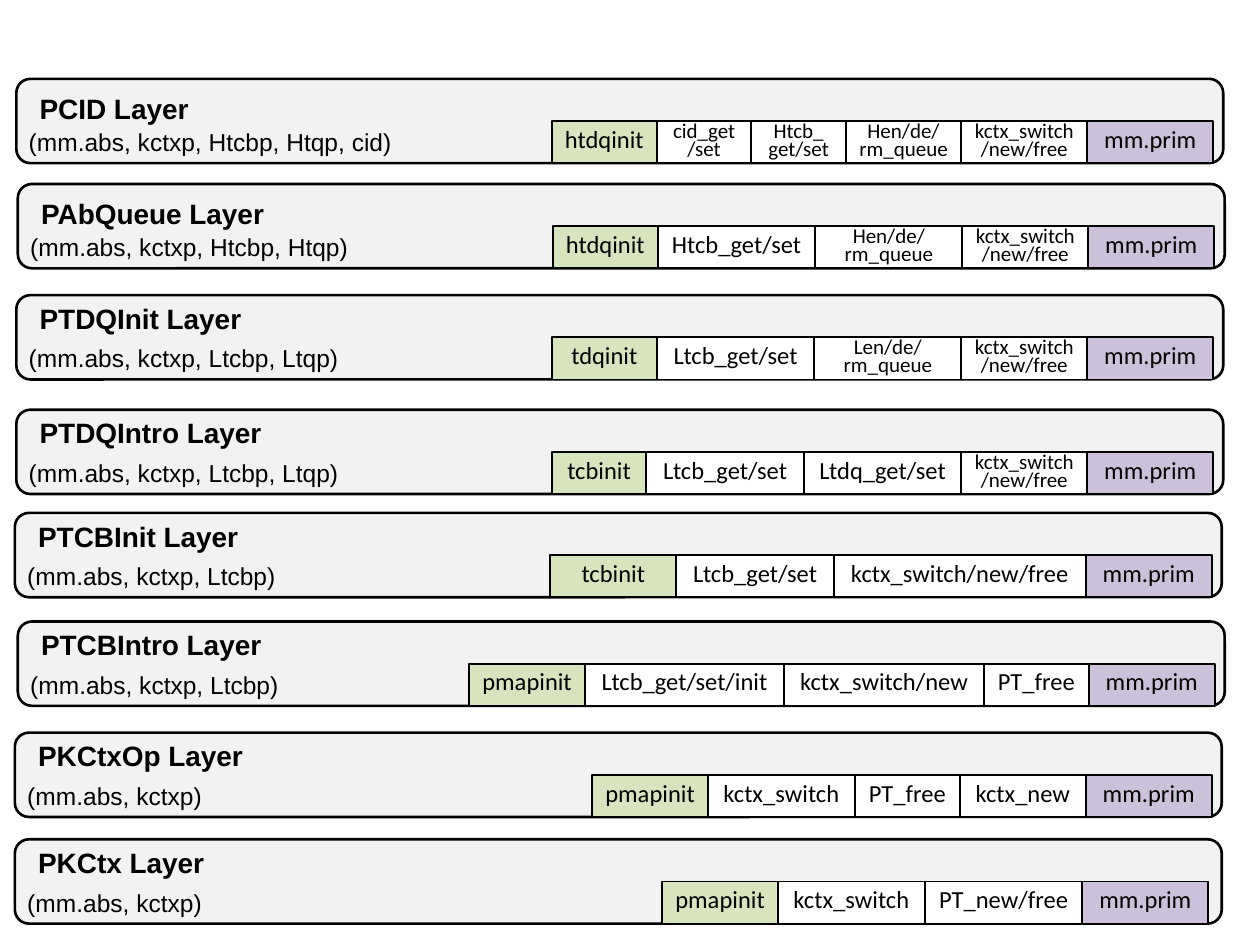
import pptx
import pptx.dml.color
import pptx.enum.shapes
import pptx.enum.text
import pptx.util
from pptx.util import Cm

BLACK = pptx.dml.color.RGBColor(0x00, 0x00, 0x00)
WHITE = pptx.dml.color.RGBColor(0xFF, 0xFF, 0xFF)
GREY = pptx.dml.color.RGBColor(0xF2, 0xF2, 0xF2)
GREEN = pptx.dml.color.RGBColor(0xD7, 0xE4, 0xBD)
PURPLE = pptx.dml.color.RGBColor(0xCC, 0xC1, 0xDA)

SHAPES = pptx.enum.shapes.MSO_SHAPE
UNIT = 2.54 / 12  # cell widths are whole twelfths of an inch
LAYER_WIDTH, LAYER_HEIGHT = 24.33, 1.7
CELL_HEIGHT = LAYER_HEIGHT / 2
PRIMITIVES = ("mm.prim", 12)
CONTEXT = ("kctx_switch/new/free", 12)

# left, top, title drop, right end of cells (cm), name, state, cells (text, width in units)
LAYERS = [
    (0.3, 16.92, 0, 24.36, "PKCtx", "mm.abs, kctxp",
     [("pmapinit", 11), ("kctx_switch", 14), ("PT_new/free", 15), PRIMITIVES]),
    (0.3, 14.77, 0, 24.43, "PKCtxOp", "mm.abs, kctxp",
     [("pmapinit", 11), ("kctx_switch", 14), ("PT_free", 10), ("kctx_new", 12), PRIMITIVES]),
    (0.36, 12.53, 0, 24.49, "PTCBIntro", "mm.abs, kctxp, Ltcbp",
     [("pmapinit", 11), ("Ltcb_get/set/init", 19), ("kctx_switch/new", 19),
      ("PT_free", 10), PRIMITIVES]),
    (0.3, 10.34, 0, 24.43, "PTCBInit", "mm.abs, kctxp, Ltcbp",
     [("tcbinit", 12), ("Ltcb_get/set", 15), ("kctx_switch/new/free", 24), PRIMITIVES]),
    (0.33, 8.26, 0, 24.46, "PTDQIntro", "mm.abs, kctxp, Ltcbp, Ltqp",
     [("tcbinit", 9), ("Ltcb_get/set", 15), ("Ltdq_get/set", 15), CONTEXT, PRIMITIVES]),
    (0.33, 5.95, 0, 24.46, "PTDQInit", "mm.abs, kctxp, Ltcbp, Ltqp",
     [("tdqinit", 10), ("Ltcb_get/set", 15), ("Len/de/rm_queue", 14), CONTEXT, PRIMITIVES]),
    (0.36, 3.71, 0.13, 24.48, "PAbQueue", "mm.abs, kctxp, Htcbp, Htqp",
     [("htdqinit", 10), ("Htcb_get/set", 15), ("Hen/de/rm_queue", 14), CONTEXT, PRIMITIVES]),
    (0.33, 1.59, 0.13, 24.46, "PCID", "mm.abs, kctxp, Htcbp, Htqp, cid",
     [("htdqinit", 10), ("cid_get/set", 9), ("Htcb_\nget/set", 9),
      ("Hen/de/\nrm_queue", 11), CONTEXT, PRIMITIVES]),
]

deck = pptx.Presentation()
deck.slide_width, deck.slide_height = Cm(25.4), Cm(19.05)
page = deck.slides.add_slide(deck.slide_layouts[6])


def add_block(kind, left, top, width, height, fill, line_width):
    block = page.shapes.add_shape(kind, Cm(left), Cm(top), Cm(width), Cm(height))
    block.shadow.inherit = False
    block.fill.solid()
    block.fill.fore_color.rgb = fill
    block.line.color.rgb = BLACK
    block.line.width = pptx.util.Pt(line_width)
    return block


def write(box, text, font, size, bold=False):
    box.text_frame.word_wrap = True
    box.text_frame.text = text
    for para in box.text_frame.paragraphs:
        for span in para.runs:
            span.font.name = font
            span.font.size = pptx.util.Pt(size)
            span.font.bold = bold
            span.font.color.rgb = BLACK


for left, top, title_drop, cells_end, name, state, cells in LAYERS:
    add_block(SHAPES.ROUNDED_RECTANGLE, left, top, LAYER_WIDTH, LAYER_HEIGHT, GREY, 1.5)

    title = page.shapes.add_textbox(Cm(left + 0.22), Cm(top + title_drop), Cm(5.3), Cm(0.94))
    write(title, f"{name} Layer", "Arial", 16, bold=True)
    label = page.shapes.add_textbox(Cm(left), Cm(top + CELL_HEIGHT), Cm(7.83), Cm(0.86))
    write(label, f"({state})", "Arial", 14)
    for box in (title, label):
        box.text_frame.auto_size = pptx.enum.text.MSO_AUTO_SIZE.SHAPE_TO_FIT_TEXT

    cell_left = cells_end - UNIT * sum(units for _, units in cells)
    for index, (text, units) in enumerate(cells):
        fill = GREEN if index == 0 else PURPLE if text == "mm.prim" else WHITE
        cell = add_block(SHAPES.RECTANGLE, cell_left, top + CELL_HEIGHT,
                         units * UNIT, CELL_HEIGHT, fill, 1)
        # Text too long for one line is set smaller and wraps
        write(cell, text, "Calibri", 12 if len(text) > units else 14)
        cell.text_frame.vertical_anchor = pptx.enum.text.MSO_ANCHOR.MIDDLE
        for para in cell.text_frame.paragraphs:
            para.alignment = pptx.enum.text.PP_ALIGN.CENTER
            para.line_spacing = 0.7
        cell_left += units * UNIT

deck.save("out.pptx")
